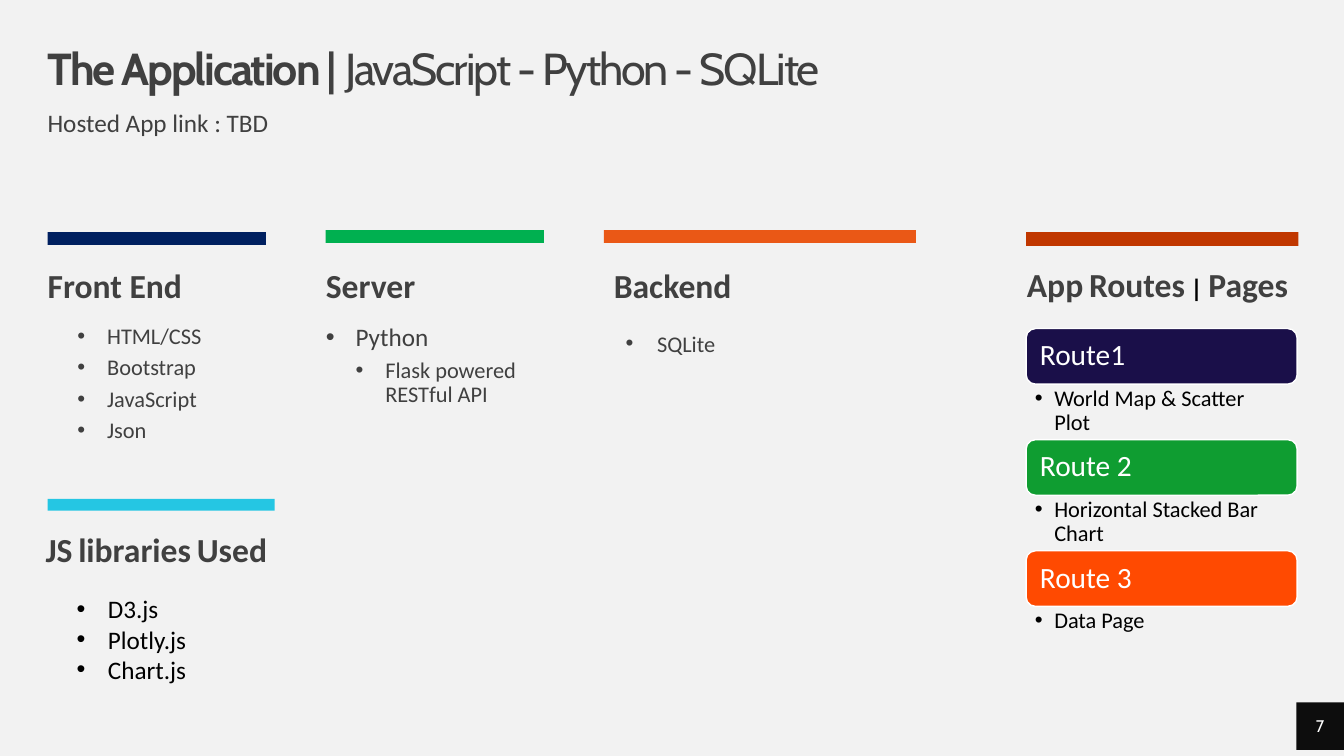
from lxml.etree import SubElement
from pptx import Presentation
from pptx.dml.color import RGBColor
from pptx.enum.shapes import MSO_SHAPE
from pptx.enum.text import MSO_ANCHOR, MSO_AUTO_SIZE, PP_ALIGN
from pptx.oxml.ns import qn
from pptx.util import Cm, Pt

PAPER = RGBColor(0xF2, 0xF2, 0xF2)
WHITE = RGBColor(0xFF, 0xFF, 0xFF)
BLACK = RGBColor(0, 0, 0)
GRAY = RGBColor(0x40, 0x40, 0x40)
COAL = RGBColor(0x0D, 0x0D, 0x0D)
NAVY = RGBColor(0x00, 0x20, 0x60)
GREEN = RGBColor(0x00, 0xB0, 0x50)
ORANGE = RGBColor(0xEA, 0x58, 0x16)
CYAN = RGBColor(0x25, 0xC6, 0xE3)
RUST = RGBColor(0xC0, 0x37, 0x00)

ROUTES = [
    ("Route1", "World Map & Scatter Plot", RGBColor(0x1A, 0x0F, 0x49)),
    ("Route 2", "Horizontal Stacked Bar Chart", RGBColor(0x0F, 0x9D, 0x31)),
    ("Route 3", "Data Page", RGBColor(0xFF, 0x4A, 0x01)),
]
GAP = {"size": 18, "color": BLACK}
HEAD = {"size": 24, "bold": True}


def place(shape, left, top, width, height):
    shape.left, shape.top = Cm(left), Cm(top)
    shape.width, shape.height = Cm(width), Cm(height)


def setup(frame, inset=(0, 0, 0, 0), anchor=MSO_ANCHOR.TOP, wrap=True):
    """Set wrapping, anchor and insets (left, top, right, bottom)."""
    frame.auto_size = MSO_AUTO_SIZE.NONE
    frame.word_wrap = wrap
    frame.vertical_anchor = anchor
    frame.margin_left, frame.margin_top = Cm(inset[0]), Cm(inset[1])
    frame.margin_right, frame.margin_bottom = Cm(inset[2]), Cm(inset[3])
    return frame


def bullet(para, left, hang):
    """Give a paragraph a hanging bullet, or none when hang is 0."""
    props = para._p.get_or_add_pPr()
    props.set("marL", str(Cm(left)))
    props.set("indent", str(-Cm(hang)))
    if hang:
        SubElement(props, qn("a:buFont"), typeface="Arial")
        SubElement(props, qn("a:buChar"), char="•")
    else:
        SubElement(props, qn("a:buNone"))


def style(run, size=18, color=GRAY, bold=False, font="Calibri", track=0):
    run.font.size, run.font.bold, run.font.name = Pt(size), bold, font
    run.font.color.rgb = color
    if track:
        run._r.get_or_add_rPr().set("spc", str(track))


def write(frame, *paras, left=0, hang=0, level=0, line=1.0, before=0,
          align=PP_ALIGN.LEFT, **look):
    """Add paragraphs; each is a string or a list of (text, format) runs."""
    for item in paras:
        first = not frame.text
        para = frame.paragraphs[0] if first else frame.add_paragraph()
        para.level = level
        bullet(para, left, hang)
        para.alignment, para.line_spacing = align, line
        para.space_before = Pt(0 if first else before)
        para.space_after = Pt(0)
        for words, own in [(item, {})] if isinstance(item, str) else item:
            run = para.add_run()
            run.text = words
            style(run, **{**look, **own})


def label(slide, left, top, width, height, inset=(0.25, 0.13, 0.25, 0.13),
          wrap=True):
    box = slide.shapes.add_textbox(Cm(left), Cm(top), Cm(width), Cm(height))
    return setup(box.text_frame, inset, wrap=wrap)


def block(slide, left, top, width, height, fill, kind=MSO_SHAPE.RECTANGLE,
          edge=None):
    shape = slide.shapes.add_shape(
        kind, Cm(left), Cm(top), Cm(width), Cm(height))
    shape.shadow.inherit = False
    shape.fill.solid()
    shape.fill.fore_color.rgb = fill
    if edge is None:
        shape.line.fill.background()
    else:
        shape.line.color.rgb, shape.line.width = edge, Pt(1)
    return shape


def holder(slide, index, left, top, width, height, anchor=MSO_ANCHOR.TOP):
    shape = slide.placeholders[index]
    place(shape, left, top, width, height)
    return setup(shape.text_frame, anchor=anchor)


def routes(slide):
    left, width, height = 25.86, 6.83, 1.4
    for row, (name, page, color) in enumerate(ROUTES):
        top = 8.28 + row * 2 * height
        card = block(slide, left, top, width, height, color,
                     MSO_SHAPE.ROUNDED_RECTANGLE, WHITE)
        setup(card.text_frame, (0.28, 0, 0.28, 0), MSO_ANCHOR.MIDDLE)
        write(card.text_frame, name, size=21, color=WHITE, line=0.9)
        note = label(slide, left, top + height, width, height,
                     (0.22, 0.08, 0.4, 0.08))
        write(note, page, left=0.49, hang=0.49, line=0.9, size=16,
              color=BLACK)


def main():
    deck = Presentation()
    deck.slide_width, deck.slide_height = Cm(33.87), Cm(19.05)
    slide = deck.slides.add_slide(deck.slide_layouts[4])
    slide.background.fill.solid()
    slide.background.fill.fore_color.rgb = PAPER

    title = holder(slide, 0, 1.2, 1.2, 31.5, 1.2, MSO_ANCHOR.MIDDLE)
    write(title, [("The Application | ", {"bold": True}),
                  ("JavaScript - Python - SQLite", {})],
          size=32, font="Cabin", track=-150, line=0.9)
    write(label(slide, 1.2, 2.8, 31.5, 1, (0, 0, 0, 0)),
          "Hosted App link : TBD", line=0.9)

    for bar in [(1.2, 5.85, 5.5, 0.32, NAVY), (8.21, 5.8, 5.5, 0.32, GREEN),
                (15.22, 5.8, 7.86, 0.32, ORANGE),
                (1.2, 12.57, 5.72, 0.3, CYAN),
                (25.86, 5.85, 6.86, 0.35, RUST)]:
        block(slide, *bar)

    for index, left, name in [(1, 1.2, "Front End"), (3, 8.21, "Server")]:
        write(holder(slide, index, left, 6.78, 5.5, 1), name, line=0.9,
              **HEAD)
    inner = {"left": 1.5, "hang": 0.75, "level": 1, "line": 0.9,
             "before": 5, "size": 16}
    write(holder(slide, 2, 1.2, 8.2, 5.5, 3.4),
          "HTML/CSS", "Bootstrap", "JavaScript", "Json", **inner)
    server = holder(slide, 4, 8.21, 8.18, 5.5, 2.03)
    write(server, "Python", left=0.75, hang=0.75, line=0.9)
    write(server, "Flask powered RESTful API", **inner)

    write(label(slide, 15.22, 6.55, 7.86, 1.27), "Backend", **HEAD)
    write(label(slide, 15.52, 8.18, 7.57, 0.94), "SQLite",
          left=0.79, hang=0.79, size=16)

    write(label(slide, 0.9, 13.2, 6.58, 1.27, wrap=False),
          [("JS", {}), (" ", GAP), ("libraries", {}), (" ", GAP),
           ("Used", {})], **HEAD)
    write(label(slide, 1.68, 14.83, 4.04, 3.33),
          "D3.js", "Plotly.js", "Chart.js",
          left=0.79, hang=0.79, color=BLACK)

    thin = {**GAP, "bold": False}
    write(label(slide, 25.63, 6.53, 7.67, 1.27),
          [("App", {}), (" ", thin), ("Routes", {}), (" ", thin),
           ("| ", GAP), ("Pages", {})], **HEAD)
    routes(slide)

    badge = block(slide, 32.67, 17.7, 1.2, 1.2, COAL).text_frame
    setup(badge, anchor=MSO_ANCHOR.MIDDLE)
    write(badge, "7", size=12, color=WHITE, font="Cabin",
          align=PP_ALIGN.CENTER)
    deck.save("out.pptx")


if __name__ == "__main__":
    main()
